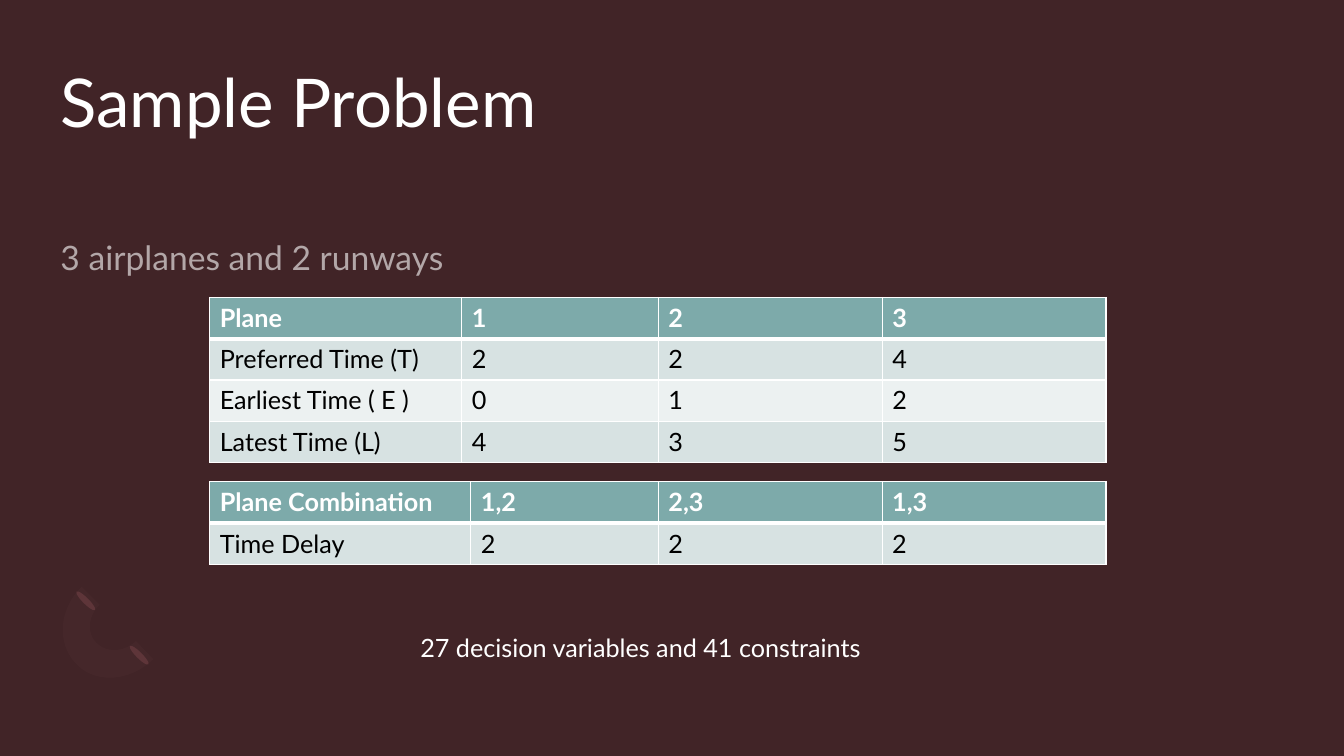
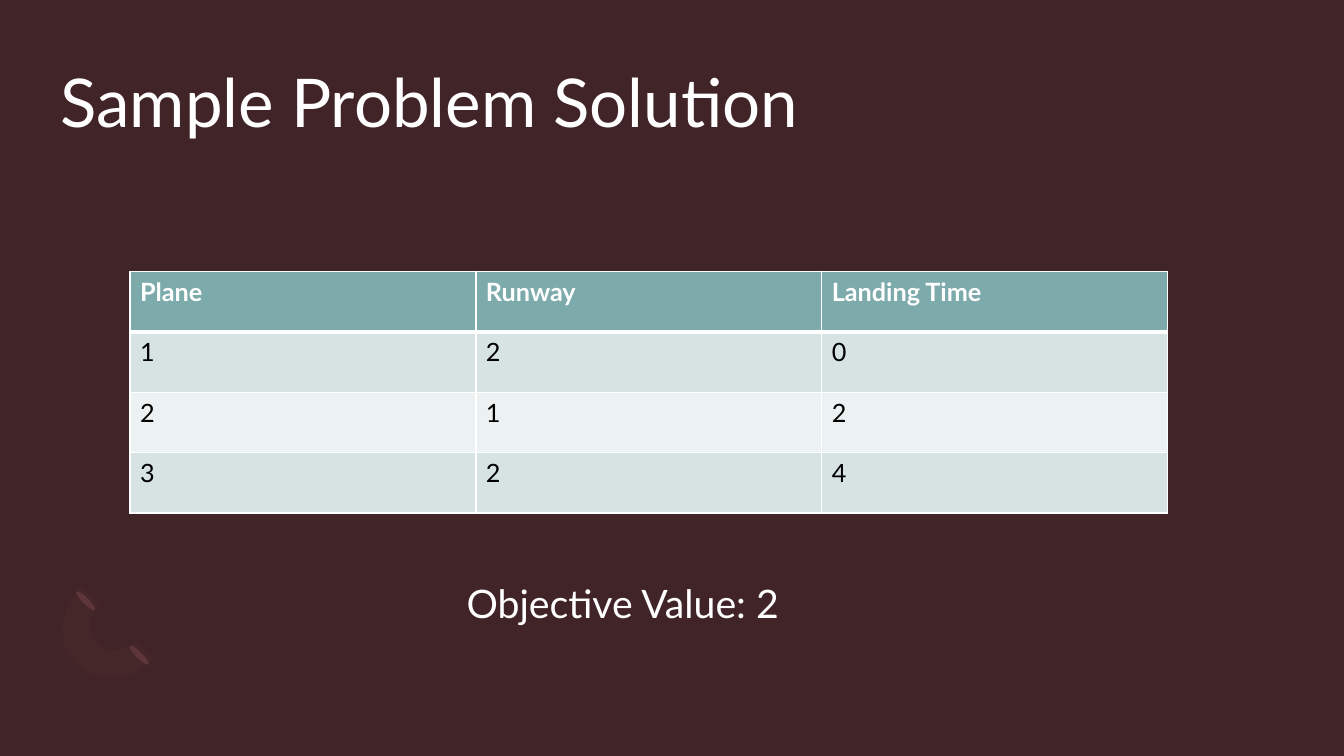
from dataclasses import dataclass

from lxml import etree
from pptx import Presentation, util as u
from pptx.dml.color import RGBColor
from pptx.enum import shapes, text
from pptx.oxml.ns import qn

In = u.Inches


@dataclass(frozen=True)
class Theme:
    font: str = "Lato"
    back: str = "412427"
    ink: str = "FFFFFF"
    dark: str = "000000"
    head: str = "7DAAAA"
    bands: tuple = ("D7E2E2", "ECF1F1")
    leaf: str = "5B3337"
    arc: str = "B67B81"
    title: int = 48
    value: int = 28
    lead: int = 24
    body: int = 18


T = Theme()
TITLE = (0.6, 0.6, 12.13, 1.46)
LEAD = (0.6, 2.31, 12.13, 0.56)


def place(shape, box):
    for name, val in zip(("left", "top", "width", "height"), box):
        setattr(shape, name, In(val))


def paint(fill, color, alpha=100):
    fill.solid()
    fill.fore_color.rgb = RGBColor.from_string(color)
    if alpha < 100:
        clr = fill._xPr.find(".//" + qn("a:srgbClr"))
        etree.SubElement(clr, qn("a:alpha"), val=str(alpha * 1000))


def write(frame, words, size, color=T.ink, bold=False, alpha=100):
    para = frame.paragraphs[0]
    para.alignment = text.PP_ALIGN.LEFT
    run = para.add_run()
    run.text = words
    look = {"name": T.font, "size": u.Pt(size), "bold": bold}
    for name, val in look.items():
        setattr(run.font, name, val)
    paint(run.font.fill, color, alpha)
    return para


def fill_holder(holder, box, words, size, alpha=100):
    place(holder, box)
    frame = holder.text_frame
    look = {"margin_left": 0, "margin_top": 0, "margin_right": 0,
            "margin_bottom": 0, "word_wrap": True,
            "vertical_anchor": text.MSO_ANCHOR.TOP,
            "auto_size": text.MSO_AUTO_SIZE.NONE}
    for name, val in look.items():
        setattr(frame, name, val)
    return write(frame, words, size, alpha=alpha)


def add_lead(slide, words):
    para = fill_holder(slide.placeholders[1], LEAD, words, T.lead, 60)
    look = {"line_spacing": 1.1, "space_before": u.Pt(10),
            "space_after": u.Pt(8)}
    for name, val in look.items():
        setattr(para, name, val)
    props = para._p.get_or_add_pPr()
    props.set("marL", "0")
    props.set("indent", "0")
    etree.SubElement(props, qn("a:buNone"))


def add_note(slide, box, words, size):
    note = slide.shapes.add_textbox(*map(In, box))
    note.text_frame.word_wrap = True
    note.text_frame.auto_size = text.MSO_AUTO_SIZE.SHAPE_TO_FIT_TEXT
    write(note.text_frame, words, size)


def edge(cell, row):
    """Rule all sides of a cell, thicker under the header row."""
    wide = {"T": 3 if row == 1 else 1, "B": 3 if row == 0 else 1}
    props = cell._tc.get_or_add_tcPr()
    for side in "LRTB":
        line = etree.SubElement(props, qn("a:ln" + side),
                                w=str(u.Pt(wide.get(side, 1))))
        fill = etree.SubElement(line, qn("a:solidFill"))
        etree.SubElement(fill, qn("a:srgbClr"), val=T.ink)


def add_grid(slide, left, top, cols, high, rows):
    """Place a banded table; cols are widths, high is the row height."""
    box = (left, top, sum(cols), high * len(rows))
    grid = slide.shapes.add_table(len(rows), len(cols), *map(In, box)).table
    for col, wide in zip(grid.columns, cols):
        col.width = In(wide)
    for i, row in enumerate(rows):
        grid.rows[i].height = In(high)
        for j, words in enumerate(row):
            cell = grid.cell(i, j)
            edge(cell, i)
            paint(cell.fill, T.bands[(i - 1) % 2] if i else T.head)
            write(cell.text_frame, words, T.body,
                  T.dark if i else T.ink, bold=i == 0)


def curve(a, b, c, d, steps=12):
    """Points on a cubic curve after its start."""
    for k in range(1, steps + 1):
        t = k / steps
        s = 1 - t
        mix = (s**3, 3 * s * s * t, 3 * s * t * t, t**3)
        yield tuple(sum(m * p[n] for m, p in zip(mix, (a, b, c, d)))
                    for n in (0, 1))


def draw_arc(pen, x, y):
    outer = [(0.31, 0.77), (0.11, 0.57), (0.13, 0.23), (0.36, 0)]
    inner = [(0.54, 0.18), (0.42, 0.29), (0.41, 0.47), (0.51, 0.56)]
    lower = [inner[-1], (0.61, 0.66), (0.78, 0.65), (0.9, 0.54)]
    last = [(1.07, 0.72), (0.85, 0.94), (0.5, 0.97), outer[0]]
    pts = [outer[0]]
    for part in (outer, inner, lower, last):
        if part[0] != pts[-1]:
            pts.append(part[0])
        pts.extend(curve(*part))
    pts = [(In(x + px), In(y + py)) for px, py in pts]
    form = pen.build_freeform(*pts[0], scale=1.0)
    form.add_line_segments(pts[1:], close=True)
    return form.convert_to_shape()


def add_mark(slide, master, x, y):
    """Put the corner ornament on the master, drawn with a slide's tools."""
    pen = slide.shapes
    parts = []
    for dx, dy in ((0.9, 0.55), (0.37, 0.01)):
        leaf = pen.add_shape(shapes.MSO_SHAPE.OVAL, In(x + dx), In(y + dy),
                             In(0.06), In(0.26))
        leaf.rotation = 135
        parts.append((leaf, T.leaf, 100))
    parts.append((draw_arc(pen, x, y), T.arc, 4))
    for part, color, alpha in parts:
        paint(part.fill, color, alpha)
        part.line.fill.background()
        part.shadow.inherit = False
        master.shapes._spTree.append(part._element)


def new_slide(prs, layout, title):
    slide = prs.slides.add_slide(prs.slide_layouts[layout])
    fill_holder(slide.shapes.title, TITLE, title, T.title)
    return slide


def add_problem(prs):
    slide = new_slide(prs, 1, "Sample Problem")
    add_lead(slide, "3 airplanes and 2 runways")
    add_grid(slide, 2.08, 2.95, (2.5, 1.95, 2.22, 2.22), 0.41, [
        ("Plane", "1", "2", "3"),
        ("Preferred Time (T)", "2", "2", "4"),
        ("Earliest Time ( E )", "0", "1", "2"),
        ("Latest Time (L)", "4", "3", "5")])
    add_grid(slide, 2.08, 4.78, (2.59, 1.86, 2.22, 2.22), 0.41, [
        ("Plane Combination", "1,2", "2,3", "1,3"),
        ("Time Delay", "2", "2", "2")])
    add_note(slide, (4.07, 6.22, 4.91, 0.4),
             "27 decision variables and 41 constraints", T.body)
    return slide


def add_answer(prs):
    slide = new_slide(prs, 5, "Sample Problem Solution")
    add_grid(slide, 1.29, 2.69, (3.43,) * 3, 0.6, [
        ("Plane", "Runway", "Landing Time"),
        ("1", "2", "0"),
        ("2", "1", "2"),
        ("3", "2", "4")])
    add_note(slide, (4.53, 5.7, 3.46, 0.57), "Objective Value: 2", T.value)


def main():
    prs = Presentation()
    prs.slide_width, prs.slide_height = In(13.33), In(7.5)
    paint(prs.slide_master.background.fill, T.back)
    first = add_problem(prs)
    add_mark(first, prs.slide_master, 0.45, 5.82)
    add_answer(prs)
    prs.save("out.pptx")


if __name__ == "__main__":
    main()
